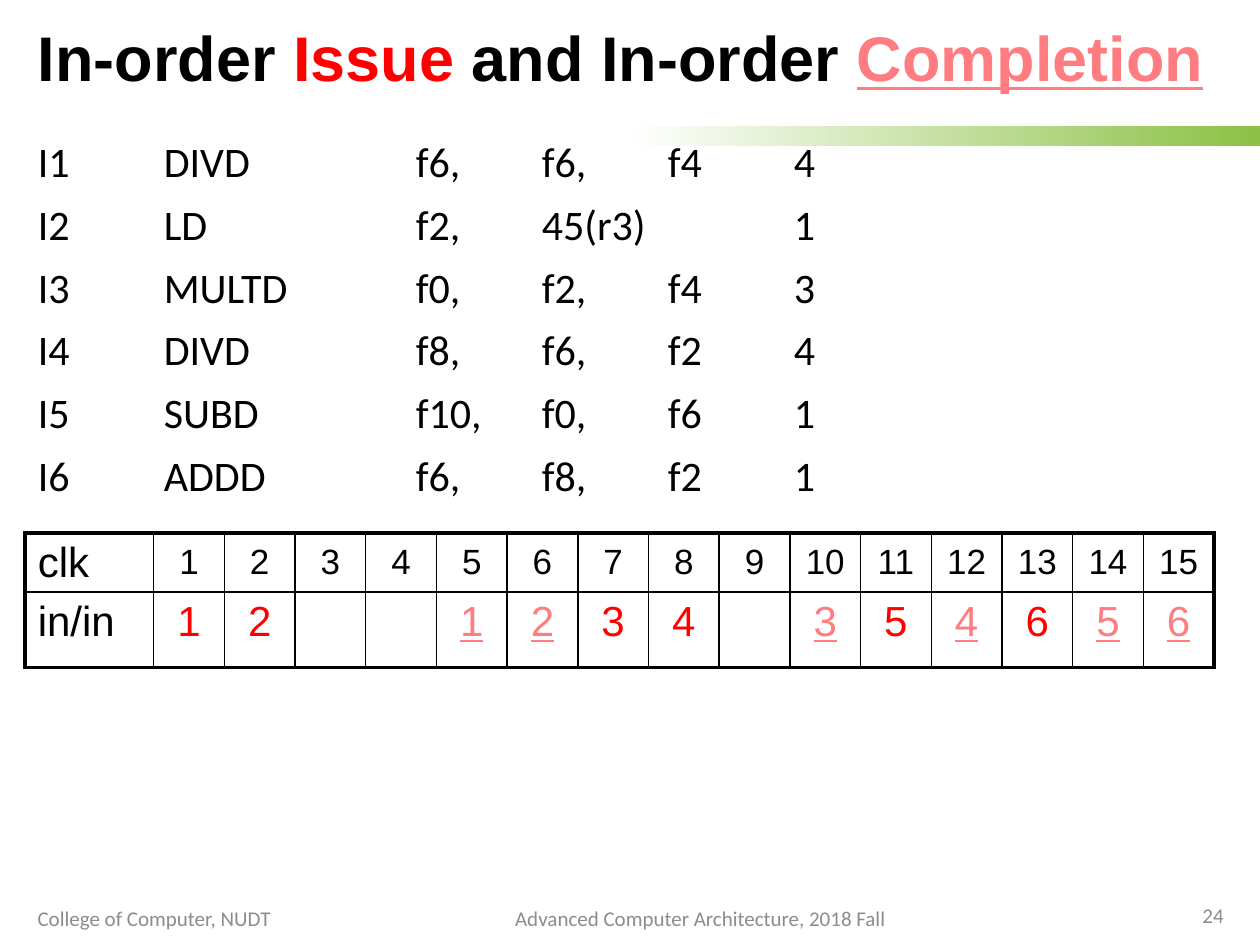
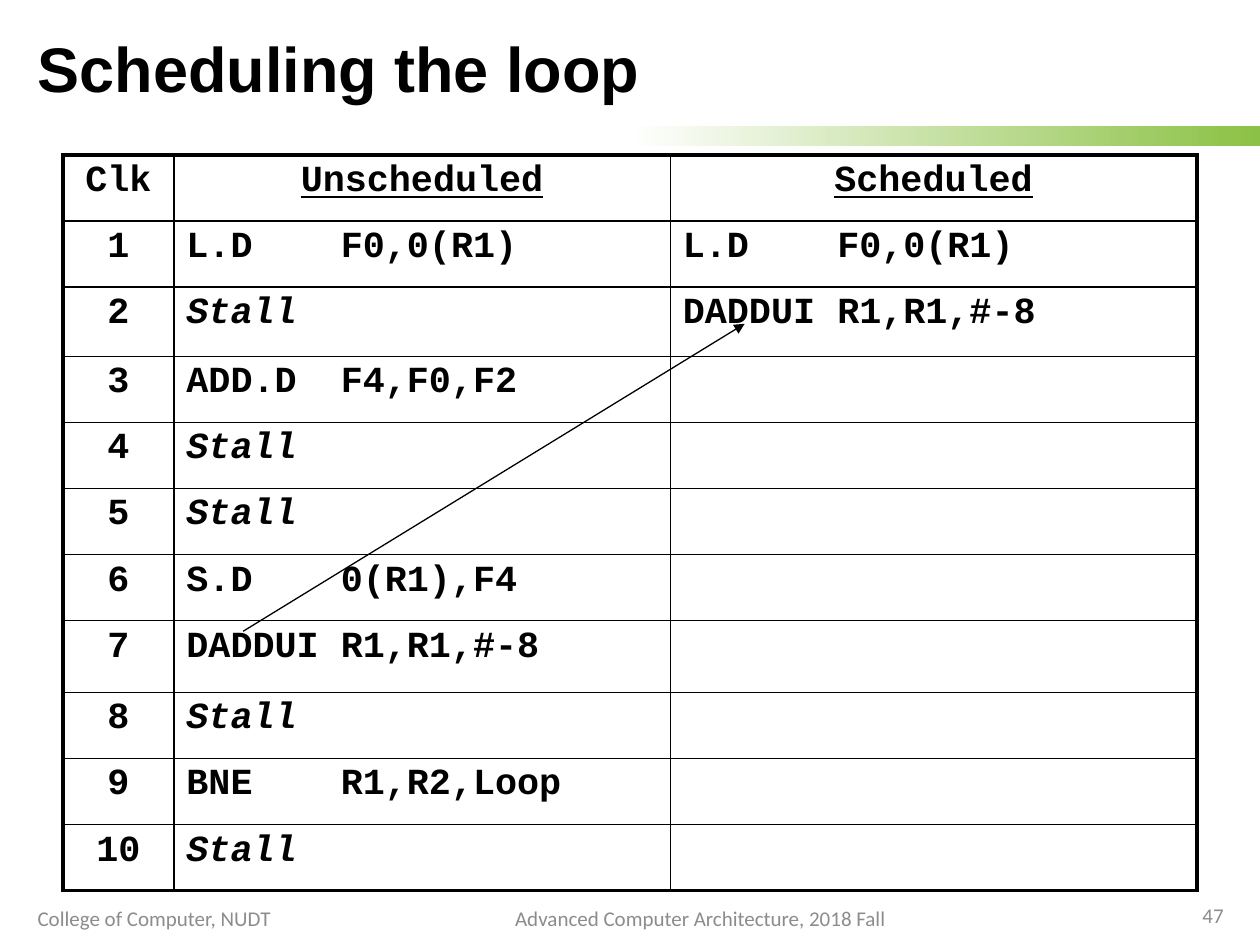
from lxml import etree
from pptx import Presentation
from pptx.dml.color import RGBColor
from pptx.enum import shapes, text
from pptx.oxml import ns
from pptx.util import Inches, Pt

# ---- Shared look ----
COLORS = {"ink": "000000", "issue": "FF0000", "done": "FF7C80",
          "footer": "8C8C8C", "white": "FFFFFF", "green": "8BC145"}
LEFT, CENTER, RIGHT = text.PP_ALIGN.LEFT, text.PP_ALIGN.CENTER, text.PP_ALIGN.RIGHT
TOP, MIDDLE = text.MSO_ANCHOR.TOP, text.MSO_ANCHOR.MIDDLE
THICK, THIN = 2.25, 1
FOOTERS = [  # text, place, alignment; the page number fills the last one
    ("College of Computer, NUDT", (0.2, 7.09, 2.25, 0.4), LEFT),
    ("Advanced Computer Architecture, 2018 Fall", (3.28, 7.09, 4.56, 0.4), CENTER),
    ("{number}", (8.79, 7.06, 1.02, 0.4), RIGHT),
]

# ---- Content: in-order issue and completion ----
ISSUE_TITLE = [("In-order ", "ink"), ("Issue", "issue"),
               (" and In-order ", "ink"), ("Completion", "done")]
INSTRUCTIONS = [  # one entry per tab stop
    ("I1 ", "DIVD", "", "f6, ", "f6,", "f4 ", "4"),
    ("I2", "LD", "", "f2,", "45(r3)", "", "1"),
    ("I3", "MULTD", "", "f0,", "f2,", "f4", "3"),
    ("I4", "DIVD", "", "f8,", "f6,", "f2", "4"),
    ("I5", "SUBD", "", "f10,", "f0,", "f6", "1"),
    ("I6", "ADDD", "", "f6,", "f8,", "f2", "1"),
]
CLOCKS = range(1, 16)
ISSUED = {1: 1, 2: 2, 7: 3, 8: 4, 11: 5, 13: 6}       # clock: instruction
COMPLETED = {5: 1, 6: 2, 10: 3, 12: 4, 14: 5, 15: 6}

# ---- Content: loop schedule ----
LOOP_TITLE = [("Scheduling the loop", "ink")]
STALL = ("Stall",)
LOAD, STEP = ("L.D", "F0,0(R1)"), ("DADDUI", "R1,R1,#-8")
LOOP_HEADER = ("Clk", "Unscheduled", "Scheduled")
UNSCHEDULED = [LOAD, STALL, ("ADD.D", "F4,F0,F2"), STALL, STALL,
               ("S.D", "0(R1),F4"), STEP, STALL, ("BNE", "R1,R2,Loop"), STALL]
SCHEDULED = [LOAD, STEP]
LOOP_HEIGHT = 5.84
TALL_ROWS = {2: 0.55, 7: 0.57}
OPERAND_TAB = 7 * 0.6 * 21 / 72  # seven characters of 21 pt Courier New


def rgb(name):
    return RGBColor.from_string(COLORS[name])


def place(shape, left, top, width, height):
    shape.left, shape.top = Inches(left), Inches(top)
    shape.width, shape.height = Inches(width), Inches(height)


def style(span, font, size, color="ink", bold=False, italic=False, underline=False):
    face = span.font
    face.name, face.size, face.bold = font, Pt(size), bold
    face.italic, face.underline = italic, underline
    face.color.rgb = rgb(color)


def set_tab(para, stop):
    tabs = etree.SubElement(para._p.get_or_add_pPr(), ns.qn("a:tabLst"))
    etree.SubElement(tabs, ns.qn("a:tab"), pos=str(Inches(stop)), algn="l")


def add_band(deck, page):
    """Draw the green band and move it to the master, behind everything."""
    band = page.shapes.add_shape(shapes.MSO_SHAPE.RECTANGLE, Inches(5), Inches(1),
                                 Inches(5), Inches(0.16))
    band.shadow.inherit = False
    band.line.fill.background()
    band.fill.gradient()
    band.fill.gradient_angle = 0
    for stop, color in zip(band.fill.gradient_stops, ("white", "green")):
        stop.color.rgb = rgb(color)
    deck.slide_master.element.cSld.spTree.insert(2, band.element)


def add_page(deck, layout, title, title_place, number):
    page = deck.slides.add_slide(deck.slide_layouts[layout])
    heading = page.shapes.title
    place(heading, *title_place)
    frame = heading.text_frame
    frame.vertical_anchor, frame.auto_size = MIDDLE, text.MSO_AUTO_SIZE.NONE
    para = frame.paragraphs[0]
    para.alignment, para.line_spacing = LEFT, 0.9
    for words, color in title:
        span = para.add_run()
        span.text = words
        style(span, "Arial", 36, color, bold=True, underline=color == "done")
    for words, where, align in FOOTERS:
        box = page.shapes.add_textbox(*map(Inches, where))
        frame = box.text_frame
        frame.word_wrap, frame.vertical_anchor = True, MIDDLE
        para = frame.paragraphs[0]
        para.text, para.alignment = words.format(number=number), align
        style(para.runs[0], "Calibri", 12, "footer")
    return page


def add_grid(page, left, top, widths, heights):
    """Add an unfilled table with thin inner lines and a thick frame."""
    frame = page.shapes.add_table(len(heights), len(widths), Inches(left), Inches(top),
                                  Inches(sum(widths)), Inches(sum(heights)))
    grid = frame.table
    grid.first_row = grid.horz_banding = False
    for column, width in zip(grid.columns, widths):
        column.width = Inches(width)
    for row, height in zip(grid.rows, heights):
        row.height = Inches(height)
    for r in range(len(heights)):
        for c in range(len(widths)):
            cell = grid.cell(r, c)
            edges = {"lnL": c == 0, "lnR": c == len(widths) - 1,
                     "lnT": r == 0, "lnB": r == len(heights) - 1}
            for tag, outer in edges.items():
                line = etree.SubElement(cell._tc.get_or_add_tcPr(), ns.qn("a:" + tag),
                                        w=str(Pt(THICK if outer else THIN)))
                fill = etree.SubElement(line, ns.qn("a:solidFill"))
                etree.SubElement(fill, ns.qn("a:srgbClr"), val=COLORS["ink"])
            cell.fill.background()
    return grid


def write_cell(cell, words, align, font, size, anchor=TOP, **look):
    cell.vertical_anchor = anchor
    para = cell.text_frame.paragraphs[0]
    para.text, para.alignment = str(words), align
    style(para.runs[0], font, size, **look)
    return para


deck = Presentation()
deck.slide_width, deck.slide_height = Inches(10), Inches(7.5)
# One-inch default tabs for all body text
for level in deck.slide_master.element.iterfind(".//" + ns.qn("p:bodyStyle") + "/*"):
    level.set("defTabSz", str(Inches(1)))

# ---- Slide: in-order issue and completion ----
page = add_page(deck, 1, ISSUE_TITLE, (0.2, 0.13, 9.61, 0.71), 24)
add_band(deck, page)

body = page.placeholders[1]
place(body, 0.2, 1.07, 9.61, 5.98)
body.text_frame.auto_size = text.MSO_AUTO_SIZE.NONE
body.text_frame.text = "\n".join("\t".join(parts) for parts in INSTRUCTIONS)
for para in body.text_frame.paragraphs:
    para.line_spacing, para.space_before = 0.9, Pt(10)
    props = para._p.get_or_add_pPr()
    for name, value in (("marL", 0), ("indent", 0), ("defTabSz", Inches(1))):
        props.set(name, str(value))
    etree.SubElement(props, ns.qn("a:buNone"))
    style(para.runs[0], "Calibri", 24)

label_width, table_width = 1.02, 9.44
clock_width = (table_width - label_width) / len(CLOCKS)
grid = add_grid(page, 0.2, 4.23, [label_width] + [clock_width] * len(CLOCKS), [0.47, 0.6])
write_cell(grid.cell(0, 0), "clk", LEFT, "Arial", 24, MIDDLE)
write_cell(grid.cell(1, 0), "in/in", LEFT, "Arial", 24)
for clock in CLOCKS:
    write_cell(grid.cell(0, clock), clock, CENTER, "Arial", 20, MIDDLE)
for cell in grid.rows[0].cells:
    cell.margin_top = cell.margin_bottom = Inches(0.03)
for events, color in ((ISSUED, "issue"), (COMPLETED, "done")):
    for clock, instruction in events.items():
        write_cell(grid.cell(1, clock), instruction, CENTER, "Arial", 24,
                   color=color, underline=color == "done")

# ---- Slide: loop schedule ----
page = add_page(deck, 5, LOOP_TITLE, (0.2, 0.15, 9.61, 0.85), 47)
row_count = len(UNSCHEDULED) + 1
row_height = (LOOP_HEIGHT - sum(TALL_ROWS.values())) / (row_count - len(TALL_ROWS))
grid = add_grid(page, 0.5, 1.23, [0.88, 3.94, 4.18],
                [TALL_ROWS.get(r, row_height) for r in range(row_count)])


def write_code(row, column, words, align=LEFT, **look):
    para = write_cell(grid.cell(row, column), words, align, "Courier New", 21,
                      bold=True, **look)
    para.line_spacing = 0.9
    return para


for column, words in enumerate(LOOP_HEADER):
    write_code(0, column, words, CENTER, underline=column > 0)
for clock in range(1, row_count):
    write_code(clock, 0, clock, CENTER)
for column, code in enumerate((UNSCHEDULED, SCHEDULED), 1):
    for clock, parts in enumerate(code, 1):
        para = write_code(clock, column, "\t".join(parts), italic=parts == STALL)
        if len(parts) > 1:
            set_tab(para, OPERAND_TAB)

# Arrow: the pointer update moves up to clock 2
arrow = page.shapes.add_connector(shapes.MSO_CONNECTOR.STRAIGHT, Inches(1.93), Inches(5.01),
                                  Inches(5.91), Inches(2.57))
arrow.line.width = Pt(0.75)
arrow.line.color.rgb = rgb("ink")
etree.SubElement(arrow.line._get_or_add_ln(), ns.qn("a:tailEnd"), type="triangle")
etree.SubElement(arrow.element.spPr, ns.qn("a:effectLst"))

deck.save("out.pptx")
